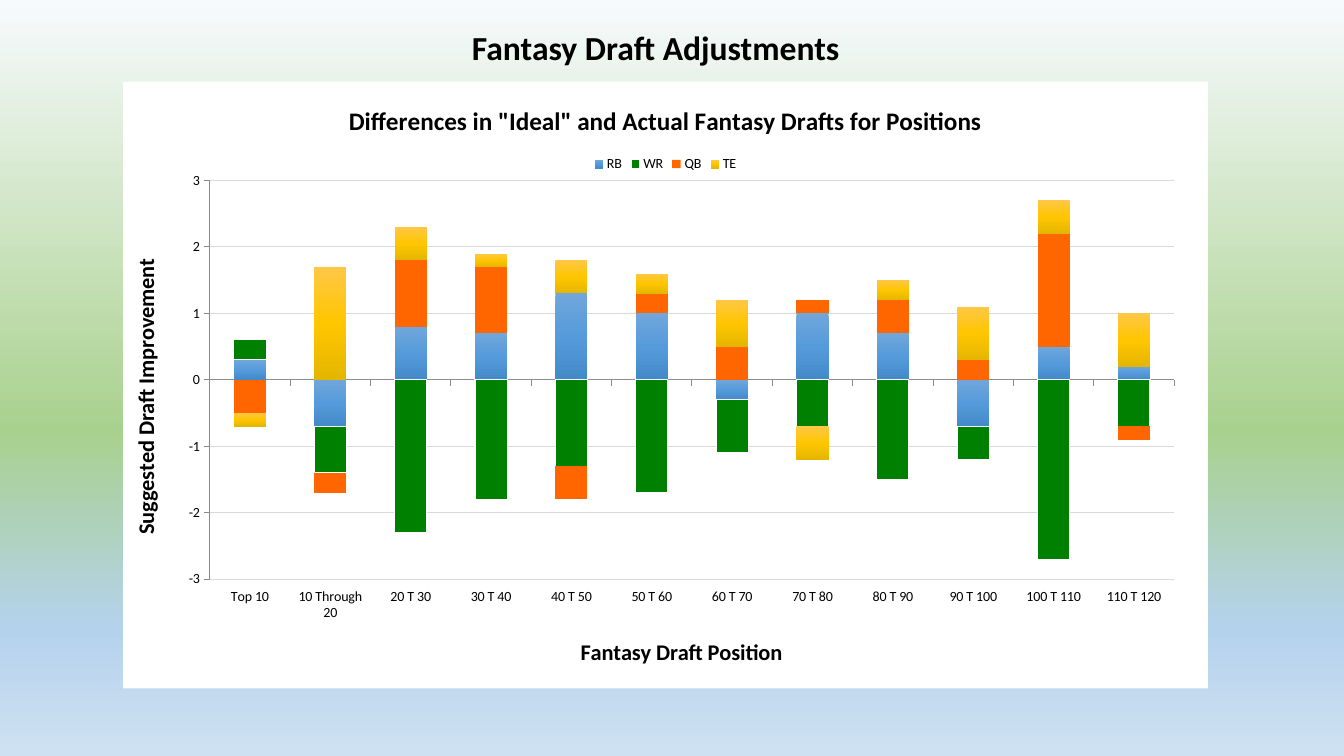
from lxml import etree
from pptx import Presentation
from pptx.chart.data import CategoryChartData
from pptx.dml.color import RGBColor
from pptx.enum.chart import XL_CHART_TYPE as CT, XL_LEGEND_POSITION as LP
from pptx.enum.chart import XL_TICK_LABEL_POSITION as TLP, XL_TICK_MARK as TM
from pptx.enum.text import MSO_ANCHOR, PP_ALIGN
from pptx.oxml import parse_xml
from pptx.oxml.ns import nsdecls, qn
from pptx.util import Inches, Pt

FONT = "Calibri"
BLACK = RGBColor(0x00, 0x00, 0x00)
WHITE = RGBColor(0xFF, 0xFF, 0xFF)
GRID = RGBColor(0xD9, 0xD9, 0xD9)
AXIS = RGBColor(0x8C, 0x8C, 0x8C)
GREEN = RGBColor(0x00, 0x80, 0x00)
ORANGE = RGBColor(0xFF, 0x66, 0x00)
SKY = [(0, RGBColor(0xF7, 0xFA, 0xFD)), (57, RGBColor(0xA9, 0xD1, 0x8E)),
       (83, RGBColor(0xB5, 0xD2, 0xEC)), (100, RGBColor(0xCE, 0xE1, 0xF2))]
BLUE_FADE = [(0, RGBColor(0x71, 0xA6, 0xDB)), (50, RGBColor(0x55, 0x9B, 0xDB)),
             (100, RGBColor(0x43, 0x8A, 0xC9))]
GOLD_FADE = [(0, RGBColor(0xFF, 0xC7, 0x46)), (50, RGBColor(0xFF, 0xC6, 0x00)),
             (100, RGBColor(0xE5, 0xB6, 0x00))]

CATEGORIES = ["Top 10", "10 Through 20"] + [f"{n} T {n + 10}" for n in range(20, 120, 10)]
POSITIONS = [
    ("RB", [0.3, -0.7, 0.8, 0.7, 1.3, 1, -0.3, 1, 0.7, -0.7, 0.5, 0.2], BLUE_FADE),
    ("WR", [0.3, -0.7, -2.3, -1.8, -1.3, -1.7, -0.8, -0.7, -1.5, -0.5, -2.7, -0.7], GREEN),
    ("QB", [-0.5, -0.3, 1, 1, -0.5, 0.3, 0.5, 0.2, 0.5, 0.3, 1.7, -0.2], ORANGE),
    ("TE", [-0.2, 1.7, 0.5, 0.2, 0.5, 0.3, 0.7, -0.5, 0.3, 0.8, 0.5, 0.8], GOLD_FADE),
]


def set_font(font, size, bold=False):
    font.name, font.size, font.bold = FONT, Pt(size), bold
    font.color.rgb = BLACK


def write(tf, text, size=16, bold=True, align=None, spacing=None):
    p = tf.paragraphs[0]
    p.alignment, p.line_spacing = align, spacing
    r = p.add_run()
    r.text = text
    set_font(r.font, size, bold)


def fade_down(fill, owner, stops):
    fill.gradient()
    fill.gradient_angle = 270
    gs_list = owner.xpath(".//a:gradFill/a:gsLst")[0]
    for gs in list(gs_list):
        gs_list.remove(gs)
    for pos, color in stops:
        gs = etree.SubElement(gs_list, qn("a:gs"), pos=str(pos * 1000))
        etree.SubElement(gs, qn("a:srgbClr"), val=str(color))


def add_title(slide, text):
    sp = slide.shapes.title
    sp.left, sp.top, sp.width, sp.height = Inches(4.58), Inches(0), Inches(4.13), Inches(0.98)
    sp.text_frame.vertical_anchor = MSO_ANCHOR.MIDDLE
    write(sp.text_frame, text, size=24, align=PP_ALIGN.LEFT, spacing=0.9)


def format_axis(axis, title):
    write(axis.axis_title.text_frame, title)
    axis.major_tick_mark, axis.minor_tick_mark = TM.OUTSIDE, TM.NONE
    axis.format.line.color.rgb = AXIS
    axis.format.line.width = Pt(0.75)


def frame_chart(chart, x, y, w, h):
    space = chart.element if hasattr(chart, "element") else chart._chartSpace
    space.find(qn("c:chart")).addnext(parse_xml(
        f'<c:spPr {nsdecls("c", "a")}><a:solidFill><a:srgbClr val="{WHITE}"/></a:solidFill>'
        '<a:ln><a:noFill/></a:ln></c:spPr>'))
    area = space.xpath("c:chart/c:plotArea")[0]
    for old in area.findall(qn("c:layout")):
        area.remove(old)
    layout = etree.Element(qn("c:layout"))
    manual = etree.SubElement(layout, qn("c:manualLayout"))
    for tag, val in [("layoutTarget", "inner"), ("xMode", "edge"), ("yMode", "edge"),
                     ("x", x), ("y", y), ("w", w), ("h", h)]:
        etree.SubElement(manual, qn(f"c:{tag}"), val=str(val))
    area.insert(0, layout)


def add_draft_chart(slide):
    data = CategoryChartData()
    data.categories = CATEGORIES
    for name, values, _ in POSITIONS:
        data.add_series(name, values)
    chart = slide.shapes.add_chart(CT.COLUMN_STACKED, Inches(1.22), Inches(0.81),
                                   Inches(10.76), Inches(6.02), data).chart
    set_font(chart.font, 10)
    write(chart.chart_title.text_frame,
          'Differences in "Ideal" and Actual Fantasy Drafts for Positions', size=18)
    chart.has_legend = True
    chart.legend.position = LP.TOP
    chart.legend.include_in_layout = False

    format_axis(chart.category_axis, "Fantasy Draft Position")
    chart.category_axis.tick_label_position = TLP.LOW
    axis = chart.value_axis
    format_axis(axis, "Suggested Draft Improvement")
    axis.minimum_scale, axis.maximum_scale, axis.major_unit = -3, 3, 1
    axis.major_gridlines.format.line.color.rgb = GRID
    axis.major_gridlines.format.line.width = Pt(0.75)

    plot = chart.plots[0]
    plot.gap_width, plot.overlap, plot.vary_by_categories = 150, 100, False
    for series, (name, _, color) in zip(plot.series, POSITIONS):
        series.invert_if_negative = False
        fill = series.format.fill
        if isinstance(color, list):
            fade_down(fill, series._element, color)
        else:
            fill.solid()
            fill.fore_color.rgb = color
        if name == "WR":
            series.format.line.color.rgb = WHITE
            series.format.line.width = Pt(0.75)
    frame_chart(chart, 0.08, 0.163, 0.889, 0.657)


def main():
    prs = Presentation()
    prs.slide_width, prs.slide_height = Inches(13.33), Inches(7.5)
    slide = prs.slides.add_slide(prs.slide_layouts[5])
    fade_down(slide.background.fill, slide.element, SKY)
    add_title(slide, "Fantasy Draft Adjustments")
    add_draft_chart(slide)
    prs.save("out.pptx")


if __name__ == "__main__":
    main()
